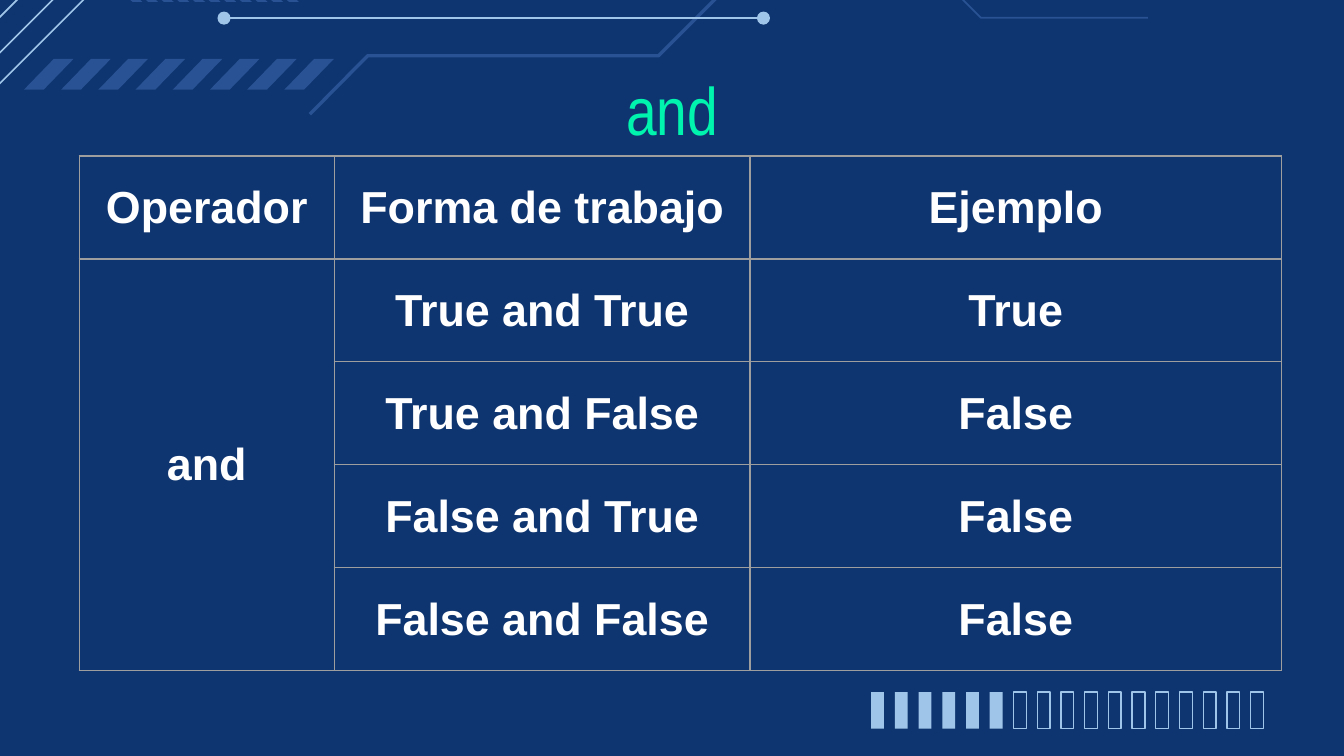
from lxml.etree import SubElement
from pptx import Presentation
from pptx.dml.color import RGBColor
from pptx.enum.shapes import MSO_CONNECTOR, MSO_SHAPE
from pptx.enum.text import MSO_ANCHOR, PP_ALIGN
from pptx.oxml.ns import qn
from pptx.util import Pt

COLORS = {
    "background": "0F3570",
    "circuit": "285293",
    "light": "9FC5E8",
    "title": "00F4AD",
    "text": "FFFFFF",
    "border": "9E9E9E",
}
TITLE_FONT = {"name": "Arial Narrow", "size": Pt(36), "bold": False}
CELL_FONT = {"name": "Arial", "size": Pt(24), "bold": True}
CELL_FORMAT = {
    "vertical_anchor": MSO_ANCHOR.MIDDLE,
    "margin_left": Pt(0.75), "margin_right": Pt(0.75),
    "margin_top": Pt(0.75), "margin_bottom": Pt(0),
}
STRIPE = [(0, 16.5), (16, 0), (26.6, 0), (10.6, 16.5)]
CHEVRON = [(13.7, 14.4), (5.8, 7.2), (13, 0), (7.7, 0), (0, 7.2), (8.4, 14.4)]
TRUTH_TABLE = [
    ("Operador", "Forma de trabajo", "Ejemplo"),
    ("and", "True and True", "True"),
    ("", "True and False", "False"),
    ("", "False and True", "False"),
    ("", "False and False", "False"),
]


def rgb(color):
    return RGBColor.from_string(COLORS[color])


def apply(target, values):
    for key, value in values.items():
        setattr(target, key, value)


def write(frame, text, font, color):
    paragraph = frame.paragraphs[0]
    paragraph.alignment = PP_ALIGN.CENTER
    run = paragraph.add_run()
    run.text = text
    apply(run.font, font)
    run.font.color.rgb = rgb(color)


def paint(shape, fill=None, line=None, width=0.75):
    shape.shadow.inherit = False
    if fill:
        shape.fill.solid()
        shape.fill.fore_color.rgb = rgb(fill)
    else:
        shape.fill.background()
    if line:
        shape.line.color.rgb = rgb(line)
        shape.line.width = Pt(width)
    else:
        shape.line.fill.background()


def outline(slide, points, closed):
    start, *rest = [(Pt(x), Pt(y)) for x, y in points]
    builder = slide.shapes.build_freeform(*start)
    builder.add_line_segments(rest, close=closed)
    return builder.convert_to_shape()


def add_trace(slide, points, color, width):
    paint(outline(slide, points, closed=False), line=color, width=width)


def add_pattern(slide, motif, left, top, count, pitch):
    """Row of one repeated filled outline."""
    for i in range(count):
        corners = [(left + i * pitch + x, top + y) for x, y in motif]
        paint(outline(slide, corners, closed=True), fill="circuit")


def add_node_link(slide, left, top, width, diameter):
    """Horizontal line with a round node at each end."""
    middle, radius = Pt(top + diameter / 2), diameter / 2
    link = slide.shapes.add_connector(
        MSO_CONNECTOR.STRAIGHT, Pt(left + radius), middle,
        Pt(left + width - radius), middle)
    link.line.color.rgb = rgb("light")
    link.line.width = Pt(0.9)
    SubElement(link._element.spPr, qn("a:effectLst"))
    for x in (left, left + width - diameter):
        node = slide.shapes.add_shape(
            MSO_SHAPE.OVAL, Pt(x), Pt(top), Pt(diameter), Pt(diameter))
        paint(node, fill="light")


def add_circuit(slide, left, top):
    """Circuit traces that bleed over the top and left slide edges."""
    traces = [
        ([(-13.7, 58.3), (91.4, -46.8), (186.5, -46.8), (226.1, -7.6),
          (323.3, -7.6), (380.5, -65), (435.2, -65)], "light", 0.9),
        ([(-31, 59.2), (75.3, -47.1)], "light", 0.9),
        ([(-44.3, 53.3), (62.3, -53.3)], "light", 0.9),
        ([(166, 61.2), (197, 29.9), (352.8, 29.9), (393.5, -10.8),
          (465.3, -10.8)], "circuit", 1.8),
        ([(421.2, -27.4), (488.5, -27.4), (525.5, 9.5), (614.9, 9.5)],
         "circuit", 0.9),
    ]
    for points, color, width in traces:
        add_trace(slide, [(left + x, top + y) for x, y in points], color, width)
    add_node_link(slide, left + 116.5, top + 6.2, 296, 7)
    add_pattern(slide, STRIPE, left + 12.8, top + 31.6, count=8, pitch=19.93)
    add_pattern(slide, CHEVRON, left + 62.6, top - 13.4, count=11, pitch=8.38)


def add_progress_bars(slide, left, top, width, height, count=17, filled=6):
    bar_width = 6.9
    pitch = (width - bar_width) / (count - 1)
    for i in range(count):
        bar = slide.shapes.add_shape(
            MSO_SHAPE.RECTANGLE, Pt(left + i * pitch), Pt(top),
            Pt(bar_width), Pt(height))
        paint(bar, **({"fill": "light"} if i < filled else {"line": "light"}))


def add_title(slide, text, left, top, width, height):
    title = slide.shapes.title
    apply(title, {"left": Pt(left), "top": Pt(top),
                  "width": Pt(width), "height": Pt(height)})
    frame = title.text_frame
    apply(frame, {"margin_left": 0, "margin_right": 0, "margin_top": 0,
                  "margin_bottom": 0, "vertical_anchor": MSO_ANCHOR.TOP,
                  "word_wrap": True})
    write(frame, text, TITLE_FONT, "title")


def add_borders(cell):
    properties = cell._tc.get_or_add_tcPr()
    for position, side in enumerate(("a:lnL", "a:lnR", "a:lnT", "a:lnB")):
        line = SubElement(properties, qn(side), w=str(Pt(0.75)))
        fill = SubElement(line, qn("a:solidFill"))
        SubElement(fill, qn("a:srgbClr"), val=COLORS["border"])
        properties.insert(position, line)


def add_truth_table(slide, left, top, width, height):
    rows, columns = len(TRUTH_TABLE), len(TRUTH_TABLE[0])
    table = slide.shapes.add_table(
        rows, columns, Pt(left), Pt(top), Pt(width), Pt(height)).table
    apply(table, {"first_row": False, "horz_banding": False})
    for column, share in zip(table.columns, (0.212, 0.346, 0.442)):
        column.width = Pt(width * share)
    for r, values in enumerate(TRUTH_TABLE):
        for c, value in enumerate(values):
            cell = table.cell(r, c)
            apply(cell, CELL_FORMAT)
            cell.fill.background()
            add_borders(cell)
            if value:
                write(cell.text_frame, value, CELL_FONT, "text")
    table.cell(1, 0).merge(table.cell(rows - 1, 0))


def main():
    deck = Presentation()
    deck.slide_width, deck.slide_height = Pt(720), Pt(405)
    slide = deck.slides.add_slide(deck.slide_layouts.get_by_name("Title Only"))
    slide.background.fill.solid()
    slide.background.fill.fore_color.rgb = rgb("background")
    add_circuit(slide, 0, 0)
    add_progress_bars(slide, 466.7, 370.8, 210.2, 19.6)
    add_title(slide, "and", 56.6, 36.7, 607, 38.2)
    add_truth_table(slide, 42.5, 83.6, 644, 275.6)
    deck.save("out.pptx")


if __name__ == "__main__":
    main()
